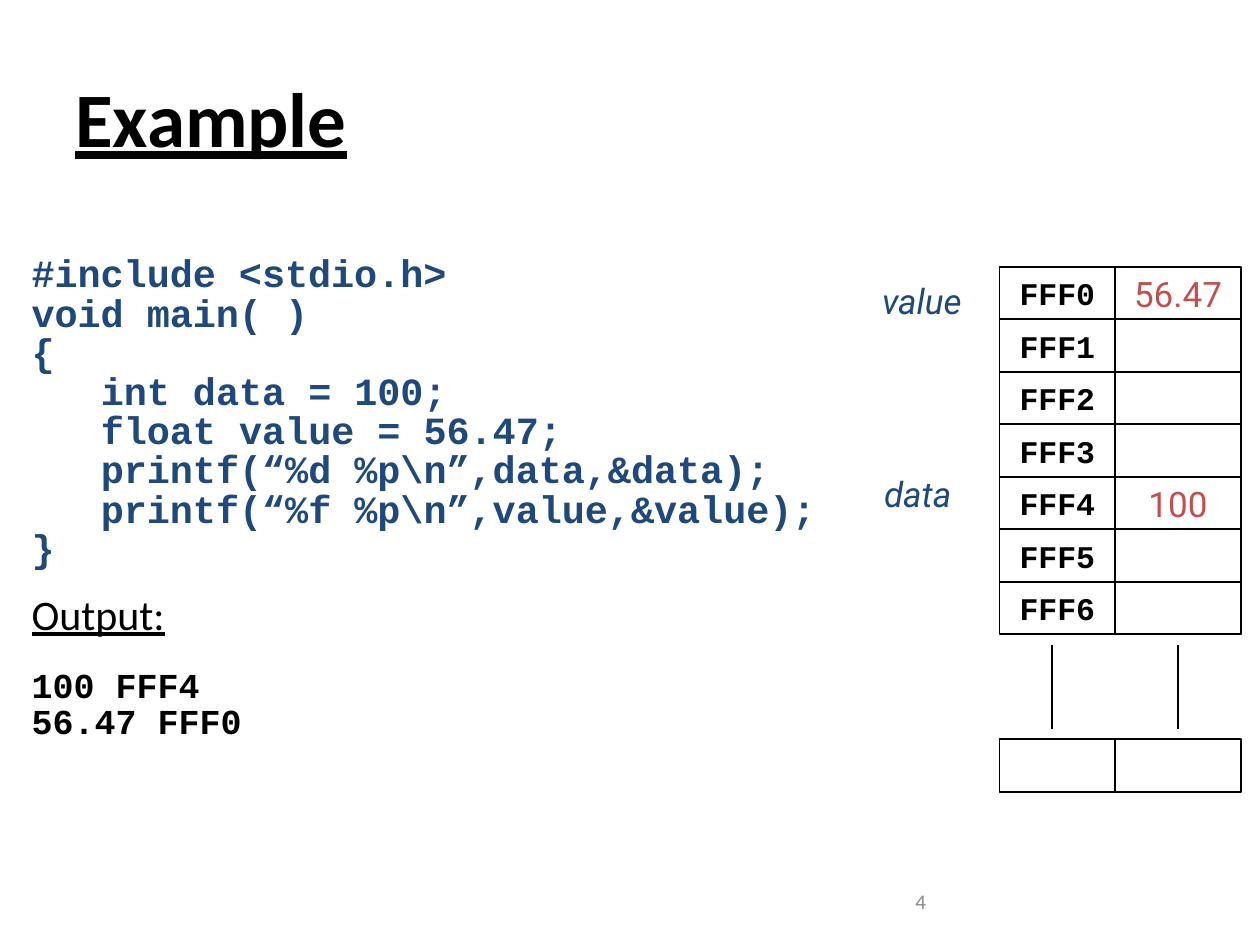
from dataclasses import dataclass
from typing import Optional

from lxml.etree import SubElement
from pptx import Presentation
from pptx.dml.color import RGBColor
from pptx.enum.shapes import MSO_CONNECTOR as Connector, MSO_SHAPE as Shape
from pptx.enum.text import MSO_ANCHOR as Anchor, PP_ALIGN as Align
from pptx.oxml.ns import qn
from pptx.util import Pt


@dataclass(frozen=True)
class Style:
    size: float
    font: str
    color: str
    bold: bool = False
    italic: bool = False
    underline: bool = False


@dataclass(frozen=True)
class Theme:
    black: str = "000000"
    white: str = "FFFFFF"
    line_width: float = 1
    title: Style = Style(44, "Calibri", "000000", bold=True, underline=True)
    code: Style = Style(22, "Courier New", "1F497D", bold=True)
    heading: Style = Style(24, "Calibri", "000000", underline=True)
    output: Style = Style(20, "Courier New", "000000", bold=True)
    address: Style = Style(18, "Courier New", "000000", bold=True)
    value: Style = Style(20, "Roboto", "C0504D")
    label: Style = Style(20, "Roboto", "1F497D", italic=True)
    number: Style = Style(12, "Calibri", "8B8B8B")


@dataclass(frozen=True)
class Area:
    left: float
    top: float
    width: float
    height: float

    def lengths(self) -> tuple:
        return Pt(self.left), Pt(self.top), Pt(self.width), Pt(self.height)


@dataclass(frozen=True)
class Line:
    text: str
    style: Style
    before: float = 1.3
    indent: float = 0


THEME = Theme()
CODE_INDENT = 39.6  # three characters of the code font

LISTING = [
    Line("#include <stdio.h>", THEME.code, before=3),
    Line("void main( )", THEME.code),
    Line("{", THEME.code),
    Line("int data = 100;", THEME.code, indent=CODE_INDENT),
    Line("float value = 56.47;", THEME.code, indent=CODE_INDENT),
    Line("printf(“%d %p\\n”,data,&data);", THEME.code, indent=CODE_INDENT),
    Line("printf(“%f %p\\n”,value,&value);", THEME.code, indent=CODE_INDENT),
    Line("}", THEME.code),
    Line("Output:", THEME.heading, before=16),
    Line("100 FFF4", THEME.output, before=19),
    Line("56.47 FFF0", THEME.output),
]

# Memory map: an address column and a value column
MEMORY_LEFT, MEMORY_TOP = 571.2, 152.5
ADDRESS_WIDTH, VALUE_WIDTH, ROW_HEIGHT = 66, 72, 30
ADDRESS_COUNT, LAST_ROW = 7, 9
STORED = {0: "56.47", 4: "100"}
GAP_LINE_TOP, GAP_LINE_BOTTOM = 368.5, 416.5


def add_span(para, text: str, style: Style) -> None:
    span = para.add_run()
    span.text = text
    font = span.font
    font.size, font.name = Pt(style.size), style.font
    font.bold, font.italic, font.underline = style.bold, style.italic, style.underline
    font.color.rgb = RGBColor.from_string(style.color)


def add_text(page, area: Area, text: str, style: Style) -> None:
    frame = page.shapes.add_textbox(*area.lengths()).text_frame
    frame.word_wrap = True
    frame.vertical_anchor = Anchor.MIDDLE
    add_span(frame.paragraphs[0], text, style)


def add_listing(page, area: Area, lines: list[Line]) -> None:
    frame = page.shapes.add_textbox(*area.lengths()).text_frame
    frame.word_wrap = True
    frame.margin_left = frame.margin_right = 0
    for index, line in enumerate(lines):
        para = frame.add_paragraph() if index else frame.paragraphs[0]
        para.line_spacing = 0.8
        para.space_before = Pt(line.before)
        if line.indent:
            para._p.get_or_add_pPr().set("marL", str(Pt(line.indent)))
        add_span(para, line.text, line.style)


def add_box(page, area: Area):
    """Add a plain white rectangle without an outline."""
    box = page.shapes.add_shape(Shape.RECTANGLE, *area.lengths())
    box.shadow.inherit = False
    box.fill.solid()
    box.fill.fore_color.rgb = RGBColor.from_string(THEME.white)
    box.line.fill.background()
    return box


def set_outline(item) -> None:
    item.line.color.rgb = RGBColor.from_string(THEME.black)
    item.line.width = Pt(THEME.line_width)


def add_cell(page, area: Area, text: Optional[str], style: Style) -> None:
    box = add_box(page, area)
    set_outline(box)
    if text:
        frame = box.text_frame
        frame.word_wrap = False
        frame.vertical_anchor = Anchor.MIDDLE
        para = frame.paragraphs[0]
        para.alignment = Align.CENTER
        add_span(para, text, style)


def add_label(page, area: Area, text: str) -> None:
    frame = add_box(page, area).text_frame
    frame.word_wrap = True
    frame.vertical_anchor = Anchor.TOP
    frame.margin_left = frame.margin_right = 0
    para = frame.paragraphs[0]
    para.alignment = Align.LEFT
    add_span(para, text, THEME.label)


def add_gap_line(page, x: float) -> None:
    """Add a vertical line standing for the memory that is skipped."""
    line = page.shapes.add_connector(
        Connector.STRAIGHT, Pt(x), Pt(GAP_LINE_TOP), Pt(x), Pt(GAP_LINE_BOTTOM))
    set_outline(line)
    SubElement(line._element.spPr, qn("a:effectLst"))


def add_memory(page) -> None:
    value_left = MEMORY_LEFT + ADDRESS_WIDTH
    for row in [*range(ADDRESS_COUNT), LAST_ROW]:
        top = MEMORY_TOP + row * ROW_HEIGHT
        address = f"FFF{row}" if row < ADDRESS_COUNT else None
        add_cell(page, Area(MEMORY_LEFT, top, ADDRESS_WIDTH, ROW_HEIGHT),
                 address, THEME.address)
        add_cell(page, Area(value_left, top, VALUE_WIDTH, ROW_HEIGHT),
                 STORED.get(row), THEME.value)
    for x in (MEMORY_LEFT + 30, value_left + VALUE_WIDTH / 2):
        add_gap_line(page, x)


def main() -> None:
    deck = Presentation()
    deck.slide_width, deck.slide_height = Pt(720), Pt(540)
    page = deck.slides.add_slide(deck.slide_layouts[6])
    add_text(page, Area(36, 21.6, 648, 90), "Example", THEME.title)
    add_listing(page, Area(18, 144, 486, 342), LISTING)
    add_text(page, Area(516, 500.5, 168, 28.75), "4", THEME.number)
    add_memory(page)
    add_label(page, Area(504, 156, 54, 54.75), "value")
    add_label(page, Area(505.2, 266.4, 54, 31), "data")
    deck.save("out.pptx")


if __name__ == "__main__":
    main()
